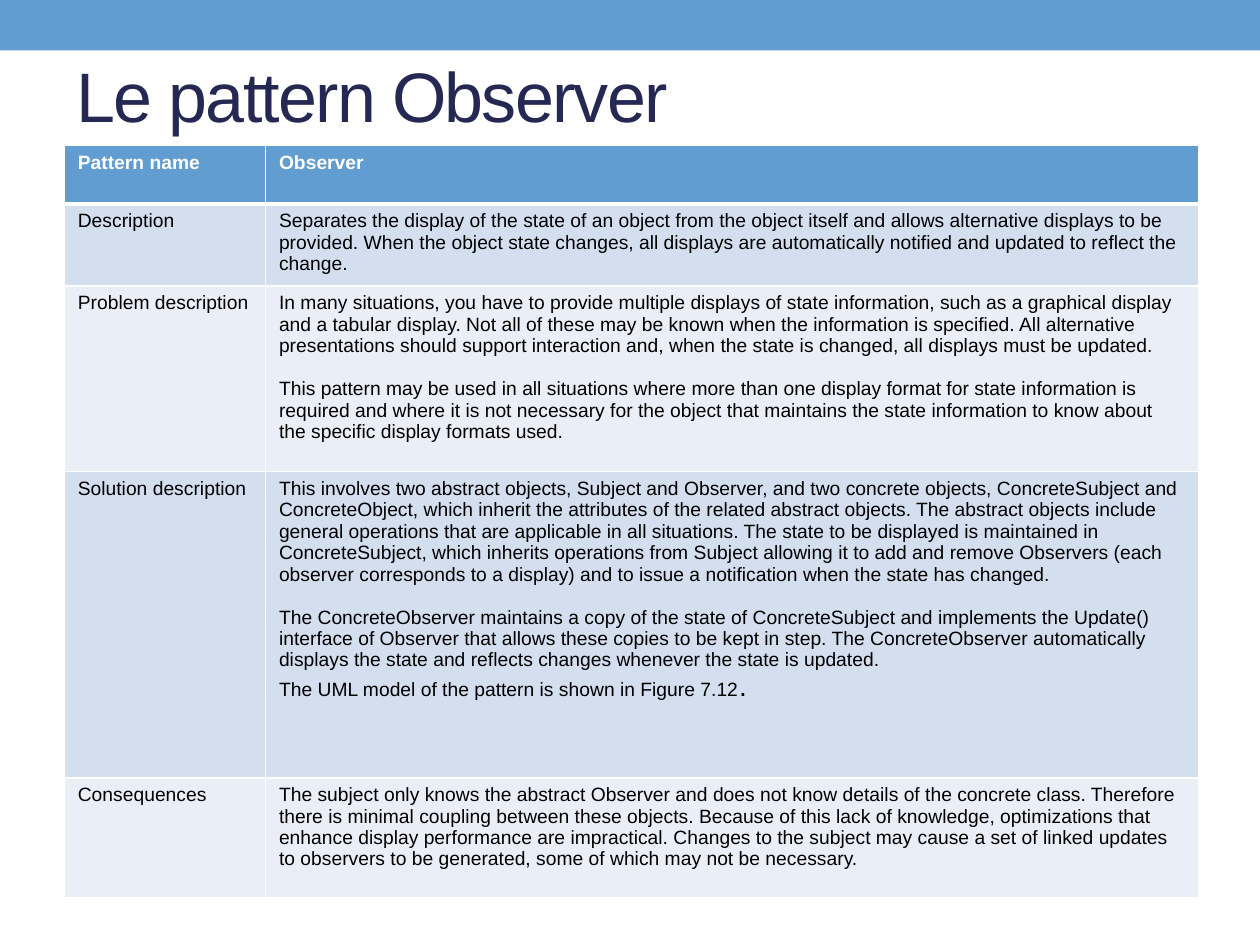
from lxml import etree
from pptx import Presentation
from pptx.dml.color import RGBColor
from pptx.enum.shapes import MSO_SHAPE
from pptx.enum.text import MSO_ANCHOR
from pptx.oxml.ns import qn
from pptx.util import Pt

RECTANGLE = MSO_SHAPE.RECTANGLE
MIDDLE = MSO_ANCHOR.MIDDLE

BLUE = RGBColor(0x62, 0x9D, 0xD1)
NAVY = RGBColor(0x24, 0x28, 0x52)
BAND_DARK = RGBColor(0xD3, 0xDF, 0xEE)
BAND_LIGHT = RGBColor(0xEA, 0xEF, 0xF7)
WHITE = RGBColor(0xFF, 0xFF, 0xFF)
BLACK = RGBColor(0, 0, 0)
FONT = "Arial"
BODY_SIZE = 11
PARAGRAPH_GAP = 12.3

TITLE = "Le pattern Observer"

# (row height, label, paragraphs)
ROWS = [
    (33.5, "Pattern name", ["Observer"]),
    (44, "Description", [
        "Separates the display of the state of an object from the object itself and allows "
        "alternative displays to be provided. When the object state changes, all displays are "
        "automatically notified and updated to reflect the change."]),
    (106, "Problem description", [
        "In many situations, you have to provide multiple displays of state information, such as "
        "a graphical display and a tabular display. Not all of these may be known when the "
        "information is specified. All alternative presentations should support interaction and, "
        "when the state is changed, all displays must be updated.",
        "This pattern may be used in all situations where more than one display format for state "
        "information is required and where it is not necessary for the object that maintains the "
        "state information to know about the specific display formats used."]),
    (175, "Solution description", [
        "This involves two abstract objects, Subject and Observer, and two concrete objects, "
        "ConcreteSubject and ConcreteObject, which inherit the attributes of the related abstract "
        "objects. The abstract objects include general operations that are applicable in all "
        "situations. The state to be displayed is maintained in ConcreteSubject, which inherits "
        "operations from Subject allowing it to add and remove Observers (each observer "
        "corresponds to a display) and to issue a notification when the state has changed.",
        "The ConcreteObserver maintains a copy of the state of ConcreteSubject and implements the "
        "Update() interface of Observer that allows these copies to be kept in step. The "
        "ConcreteObserver automatically displays the state and reflects changes whenever the "
        "state is updated."]),
    (68.5, "Consequences", [
        "The subject only knows the abstract Observer and does not know details of the concrete "
        "class. Therefore there is minimal coupling between these objects. Because of this lack "
        "of knowledge, optimizations that enhance display performance are impractical. Changes to "
        "the subject may cause a set of linked updates to observers to be generated, some of "
        "which may not be necessary."]),
]
SOLUTION_ROW = 3
FIGURE_NOTE = "The UML model of the pattern is shown in Figure 7.12"
FIGURE_NOTE_STOP = (".", 16)
COLUMN_WIDTHS = [115, 533]
TABLE_LEFT, TABLE_TOP = 36.8, 83.2


def style(font, size, color, bold=False):
    font.name, font.size, font.bold = FONT, Pt(size), bold
    font.color.rgb = color


def set_borders(cell, widths):
    """Draw white borders; widths maps an edge tag to points."""
    properties = cell._tc.get_or_add_tcPr()
    for position, (edge, width) in enumerate(widths.items()):
        line = etree.Element(qn(f"a:{edge}"), w=str(Pt(width)))
        fill = etree.SubElement(line, qn("a:solidFill"))
        etree.SubElement(fill, qn("a:srgbClr"), val=str(WHITE))
        properties.insert(position, line)


def fill_cell(cell, paragraphs, row):
    header = row == 0
    cell.margin_left = cell.margin_right = Pt(7.7)
    cell.margin_top = cell.margin_bottom = Pt(3.6)
    cell.fill.solid()
    cell.fill.fore_color.rgb = BLUE if header else BAND_DARK if row % 2 else BAND_LIGHT
    set_borders(cell, {"lnL": 1, "lnR": 1, "lnT": 3 if row == 1 else 1,
                       "lnB": 3 if header else 1})
    frame = cell.text_frame
    frame.text = "\n".join(paragraphs)
    for index, paragraph in enumerate(frame.paragraphs):
        style(paragraph.font, BODY_SIZE, WHITE if header else BLACK, header)
        if index:
            paragraph.space_before = Pt(PARAGRAPH_GAP)


prs = Presentation()
prs.slide_width, prs.slide_height = Pt(720), Pt(540)
slide = prs.slides.add_slide(prs.slide_layouts[6])

# Top band
band = slide.shapes.add_shape(RECTANGLE, 0, 0, prs.slide_width, Pt(28.8))
band.shadow.inherit = False
band.fill.solid()
band.fill.fore_color.rgb = BLUE
band.line.fill.background()

# Title
title_frame = slide.shapes.add_textbox(Pt(36.8), Pt(15.2), Pt(648), Pt(77.8)).text_frame
title_frame.word_wrap = True
title_frame.vertical_anchor = MIDDLE
heading = title_frame.paragraphs[0]
heading_run = heading.add_run()
heading_run.text = TITLE
style(heading_run.font, 40, NAVY)
heading_run.font._element.set("spc", "-100")

# Pattern table
table = slide.shapes.add_table(
    len(ROWS), len(COLUMN_WIDTHS), Pt(TABLE_LEFT), Pt(TABLE_TOP),
    Pt(sum(COLUMN_WIDTHS)), Pt(sum(height for height, _, _ in ROWS))).table
for column, width in zip(table.columns, COLUMN_WIDTHS):
    column.width = Pt(width)
for row, (height, label, paragraphs) in enumerate(ROWS):
    table.rows[row].height = Pt(height)
    fill_cell(table.cell(row, 0), [label], row)
    fill_cell(table.cell(row, 1), paragraphs, row)

# Closing line of the solution, with its larger full stop
note = table.cell(SOLUTION_ROW, 1).text_frame.add_paragraph()
style(note.font, BODY_SIZE, BLACK)
for text, size in [(FIGURE_NOTE, BODY_SIZE), FIGURE_NOTE_STOP]:
    run = note.add_run()
    run.text = text
    style(run.font, size, BLACK)

prs.save("out.pptx")
